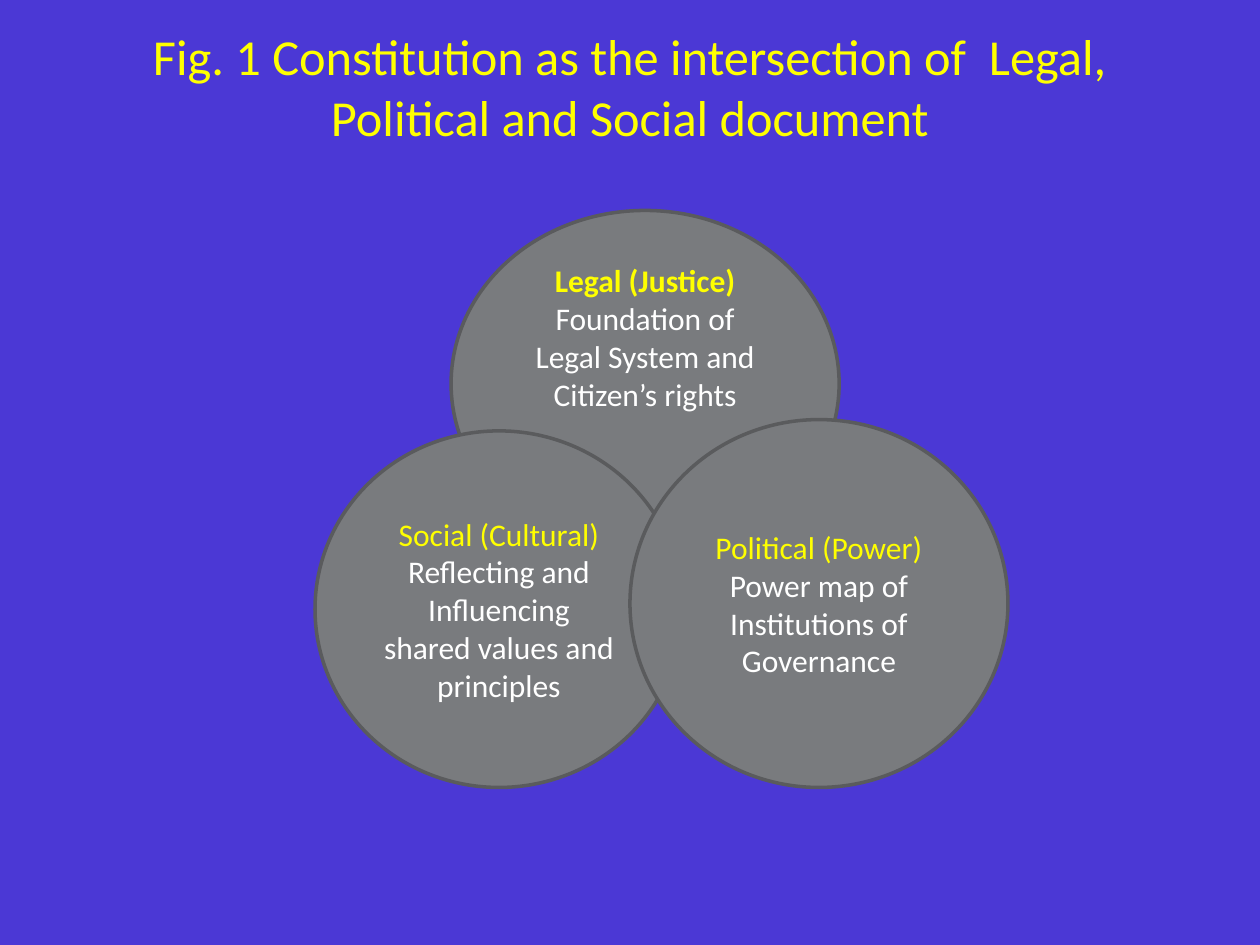
from pptx import Presentation
from pptx.dml.color import RGBColor
from pptx.enum.shapes import MSO_SHAPE
from pptx.enum.text import MSO_ANCHOR, MSO_AUTO_SIZE, PP_ALIGN
from pptx.util import Inches, Pt

OVAL = MSO_SHAPE.OVAL
CENTER = PP_ALIGN.CENTER
TOP, MIDDLE = MSO_ANCHOR.TOP, MSO_ANCHOR.MIDDLE
FONT = "Calibri"
TITLE_ONLY = 5

COLORS = {
    "background": "4B38D5",
    "heading": "FFFF00",
    "body": "FFFFFF",
    "circle": "797B7E",
    "outline": "5A5B5D",
}

TITLE = "Fig. 1 Constitution as the intersection of  Legal, Political and Social document"

# heading, description, box in inches, anchor, bold heading
CIRCLES = [
    ("Legal (Justice)", "Foundation of Legal System and Citizen’s rights",
     (3.58, 1.67, 3.08, 2.75), TOP, True),
    ("Social (Cultural)", "Reflecting and Influencing shared values and principles",
     (2.5, 3.42, 2.92, 2.83), MIDDLE, False),
    ("Political (Power)", "Power map of Institutions of Governance",
     (5, 3.33, 3, 2.92), MIDDLE, False),
]


def color(name):
    return RGBColor.from_string(COLORS[name])


def format_paragraph(p, size, color_name, bold=False):
    p.alignment = CENTER
    p.font.name = FONT
    p.font.size = Pt(size)
    p.font.bold = bold
    p.font.color.rgb = color(color_name)


def add_title(slide, text, box):
    sp = slide.shapes.title
    sp.left, sp.top, sp.width, sp.height = map(Inches, box)
    tf = sp.text_frame
    tf.text = text
    tf.word_wrap = True
    tf.auto_size = MSO_AUTO_SIZE.NONE
    tf.vertical_anchor = TOP
    tf.margin_top = 0
    format_paragraph(tf.paragraphs[0], 28.8, "heading")


def add_circle(slide, heading, description, box, anchor, bold):
    sp = slide.shapes.add_shape(OVAL, *map(Inches, box))
    sp.shadow.inherit = False
    sp.fill.solid()
    sp.fill.fore_color.rgb = color("circle")
    sp.line.color.rgb = color("outline")
    sp.line.width = Pt(2)

    tf = sp.text_frame
    tf.word_wrap = True
    tf.vertical_anchor = anchor
    if anchor == TOP:
        tf.margin_top = 0
    tf.text = heading
    format_paragraph(tf.paragraphs[0], 18, "heading", bold)
    p = tf.add_paragraph()
    p.text = description
    format_paragraph(p, 18, "body")


def main():
    prs = Presentation()
    prs.slide_width, prs.slide_height = Inches(10), Inches(7.5)
    slide = prs.slides.add_slide(prs.slide_layouts[TITLE_ONLY])
    slide.background.fill.solid()
    slide.background.fill.fore_color.rgb = color("background")

    add_title(slide, TITLE, (0.5, 0.2, 9, 1.35))
    for circle in CIRCLES:
        add_circle(slide, *circle)
    prs.save("out.pptx")


if __name__ == "__main__":
    main()
